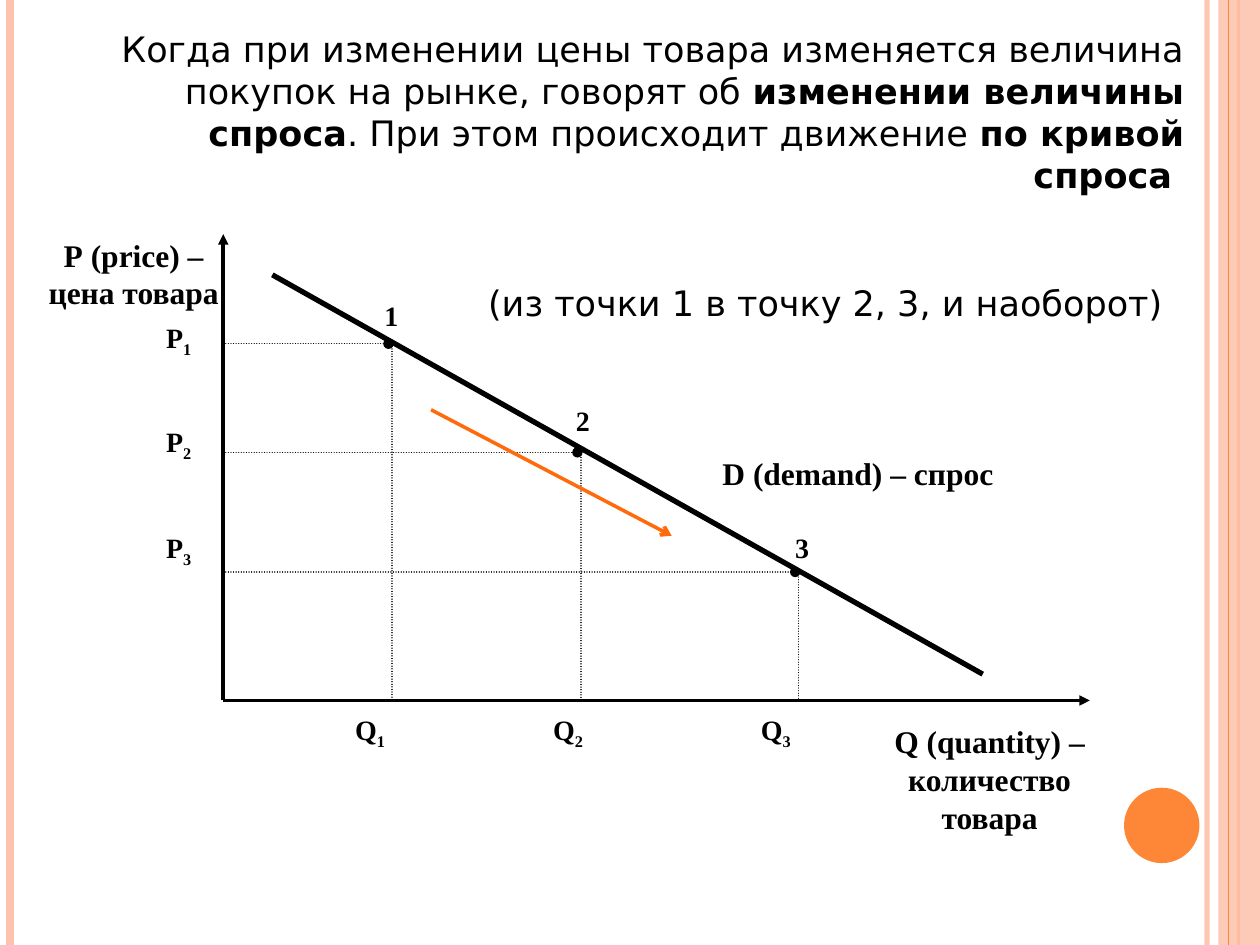
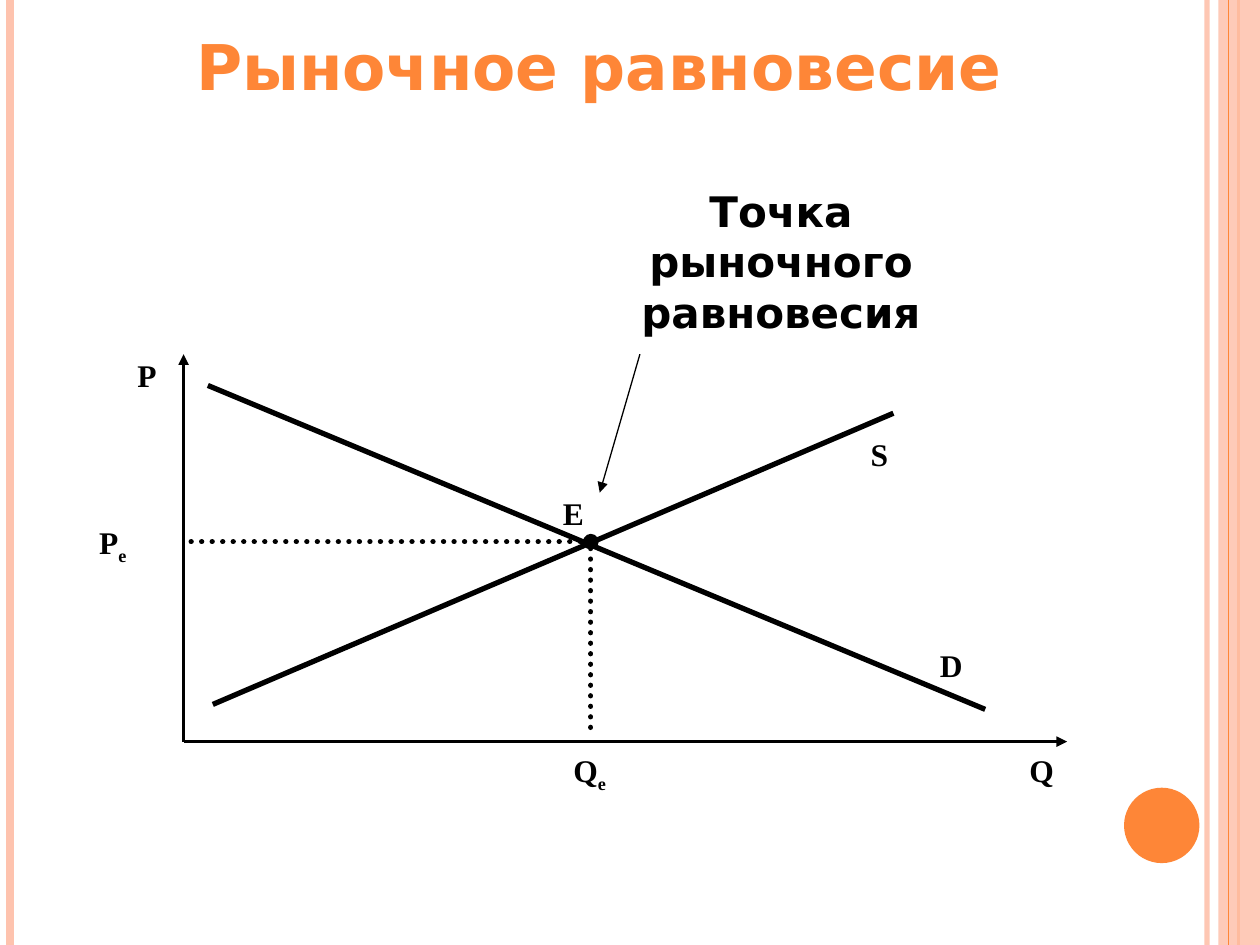
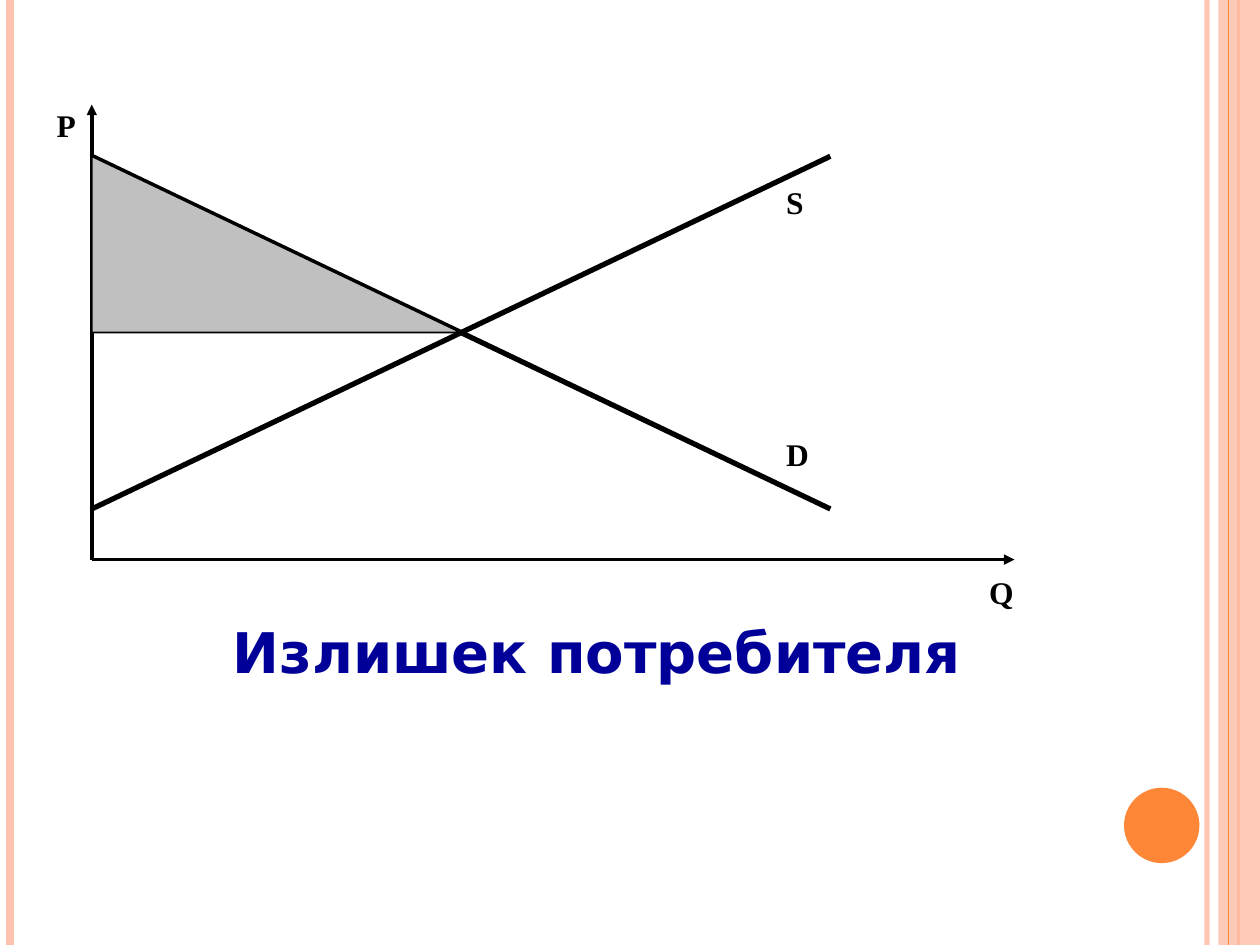
import pptx
import pptx.util
import pptx.dml.color
import pptx.enum.dml
import pptx.enum.shapes
import pptx.enum.text
import pptx.oxml.ns
from lxml import etree

Cm = pptx.util.Cm
Pt = pptx.util.Pt
Align = pptx.enum.text.PP_ALIGN
Shape = pptx.enum.shapes.MSO_SHAPE
qn = pptx.oxml.ns.qn

WIDTH, HEIGHT = 25.4, 19.05
COLORS = {
    "black": "000000",
    "orange": "FE8637",
    "peach": "FEC3AE",
    "arrow": "FF6B0A",
    "navy": "000099",
    "gray": "C0C0C0",
    "slate": "575F6D",
}
SANS, SERIF = "DejaVu Sans", "Times New Roman"


def color(name):
    return pptx.dml.color.RGBColor.from_string(COLORS[name])


def fade(node, percent):
    """Set the opacity of the first colour below a node."""
    tint = node.find(".//" + qn("a:srgbClr"))
    etree.SubElement(tint, qn("a:alpha"), val=str(percent * 1000))


class Deck:
    def __init__(self):
        self.prs = pptx.Presentation()
        self.prs.slide_width, self.prs.slide_height = Cm(WIDTH), Cm(HEIGHT)
        self.slide = None

    def start(self):
        """Open a new slide with its side bands and circle."""
        self.slide = self.prs.slides.add_slide(self.prs.slide_layouts[5])
        edge = self.band(24.33, "peach", 3)
        fade(edge.line._ln, 93)
        self.band(0.2, "peach", 4.5)
        self.band(24.97, "orange", 1.5)
        strip = self.shape(Shape.RECTANGLE, 24.56, 0, 0.84, HEIGHT, "peach")
        fade(strip._element.spPr, 87)
        self.band(24.77, "orange", 0.75)
        self.shape(Shape.OVAL, 22.66, 15.88, 1.52, 1.52, "orange")

    def band(self, x, tint, width):
        return self.line(x, 0, x, HEIGHT, width, tint)

    def line(self, x1, y1, x2, y2, width=3, tint="black",
             head=None, tail=None, dots=False):
        link = self.slide.shapes.add_connector(
            pptx.enum.shapes.MSO_CONNECTOR.STRAIGHT,
            Cm(x1), Cm(y1), Cm(x2), Cm(y2))
        link.line.width = Pt(width)
        link.line.color.rgb = color(tint)
        pen = link.line._ln
        if dots:
            link.line.dash_style = pptx.enum.dml.MSO_LINE.ROUND_DOT
            pen.set("cap", "rnd")
        for tag, kind in (("a:headEnd", head), ("a:tailEnd", tail)):
            if kind:
                etree.SubElement(pen, qn(tag), type=kind)
        etree.SubElement(link._element.spPr, qn("a:effectLst"))
        return link

    def axes(self, x, y, top, right):
        self.line(x, y, x, top, 2, tail="triangle")
        self.line(x, y, right, y, 2, tail="triangle")

    def shape(self, kind, x, y, w, h, fill, edge=None):
        form = self.slide.shapes.add_shape(kind, Cm(x), Cm(y), Cm(w), Cm(h))
        form.shadow.inherit = False
        form.fill.solid()
        form.fill.fore_color.rgb = color(fill)
        if edge:
            form.line.color.rgb = color(edge)
            form.line.width = Pt(1)
        else:
            form.line.fill.background()
        return form

    def run(self, para, text, size, font=SANS, tint="black", bold=True, sub=False):
        run = para.add_run()
        run.text = text
        run.font.size, run.font.name, run.font.bold = Pt(size), font, bold
        run.font.color.rgb = color(tint)
        if sub:
            run._r.get_or_add_rPr().set("baseline", "-25000")

    def box(self, x, y, w, h, align=Align.LEFT):
        """Add a wrapped text box and return its frame."""
        box = self.slide.shapes.add_textbox(Cm(x), Cm(y), Cm(w), Cm(h))
        box.text_frame.word_wrap = True
        box.text_frame.paragraphs[0].alignment = align
        return box.text_frame

    def label(self, x, y, text, sub="", w=1.65, h=1.0, size=18, align=Align.LEFT):
        frame = self.box(x, y, w, h, align)
        frame.margin_left = frame.margin_right = Cm(0.05)
        frame.margin_top = frame.margin_bottom = Cm(0.03)
        self.run(frame.paragraphs[0], text, size, SERIF)
        if sub:
            self.run(frame.paragraphs[0], sub, size, SERIF, sub=True)

    def title(self, x, y, w, h, align=Align.CENTER):
        """Move the title placeholder and return its frame."""
        title = self.slide.shapes.title
        title.left, title.top, title.width, title.height = Cm(x), Cm(y), Cm(w), Cm(h)
        frame = title.text_frame
        frame.word_wrap = True
        frame.auto_size = pptx.enum.text.MSO_AUTO_SIZE.NONE
        frame.vertical_anchor = pptx.enum.text.MSO_ANCHOR.TOP
        frame.paragraphs[0].alignment = align
        return frame


def demand(deck):
    """Movement along the demand curve."""
    deck.start()
    left, base = 4.5, 14.12
    deck.axes(left, base, 4.72, 21.97)
    deck.line(5.49, 5.54, 19.81, 13.59)

    # Points: x, y, top of P label, left of Q label, place of number
    points = [
        (7.9, 6.93, 6.43, 7.11, 7.7, 5.99),
        (11.71, 9.12, 8.53, 11.1, 11.56, 8.1),
        (16.1, 11.53, 10.67, 15.29, 15.98, 10.67),
    ]
    for num, (x, y, ptop, qleft, nx, ny) in enumerate(points, 1):
        deck.line(left, y, x - 0.07, y, 0.75, tail="oval", dots=True)
        deck.line(x, y, x, base, 0.75, dots=True)
        deck.label(3.3, ptop, "Р", str(num), size=16)
        deck.label(qleft, 14.33, "Q", str(num), size=16)
        deck.label(nx, ny, str(num), size=16)

    # Names of axes and curve
    for x, y, w, text in [
        (0.69, 4.72, 4.01, "Р (price) – цена товара"),
        (17.7, 14.53, 4.5, "Q (quantity) – количество товара"),
        (14.5, 9.12, 5.59, "D (demand) – спрос"),
    ]:
        deck.label(x, y, text, w=w, align=Align.CENTER)

    # Rule in words
    frame = deck.title(1.7, 0.43, 22.43, 6.76, Align.RIGHT)
    para = frame.paragraphs[0]
    for text, bold in [
        ("Когда при изменении цены товара изменяется величина покупок "
         "на рынке, говорят об ", False),
        ("изменении величины спроса", True),
        (". При этом происходит движение ", False),
        ("по кривой спроса ", True),
    ]:
        deck.run(para, text, 20, bold=bold)
    para = frame.add_paragraph()
    para.alignment = Align.RIGHT
    para.space_before = Pt(25)
    deck.run(para, "(из точки 1 в точку 2, 3, и наоборот)", 20, bold=False)
    deck.run(para, " ", 44, "Arial", "slate", False)
    deck.line(8.69, 8.26, 13.54, 10.8, 2, "arrow", tail="arrow")


def balance(deck):
    """Market equilibrium."""
    deck.start()
    left, base, x, y = 3.7, 14.95, 11.91, 10.92
    deck.line(x, y, left, y, dots=True)
    deck.line(x, y, x, 14.83, head="oval", dots=True)
    deck.axes(left, base, 7.14, 21.51)
    deck.line(4.29, 14.2, 18.01, 8.33)
    deck.line(4.19, 7.77, 19.86, 14.3)
    for lx, ly, text, sub in [
        (1.95, 10.52, "P", "e"), (2.72, 7.14, "P", ""),
        (11.51, 15.11, "Q", "e"), (20.7, 15.11, "Q", ""),
        (11.3, 9.93, "E", ""), (17.5, 8.74, "S", ""), (18.9, 13, "D", ""),
    ]:
        deck.label(lx, ly, text, sub)

    # Title and callout
    frame = deck.title(1.47, 0.43, 21.21, 1.8)
    deck.run(frame.paragraphs[0], "Рыночное равновесие", 36, tint="orange")
    deck.line(12.9, 7.14, 12.09, 9.93, 0.75, tail="triangle")
    frame = deck.box(11.63, 3.61, 8.23, 3.33, Align.CENTER)
    deck.run(frame.paragraphs[0], "Точка рыночного равновесия", 24)


def surplus(deck):
    """Consumer surplus."""
    deck.start()
    left, right, high, low = 1.85, 16.74, 3.15, 10.26
    deck.axes(left, 11.28, 2.11, 20.45)
    deck.line(left, high, right, low)
    deck.line(left, low, right, high)
    deck.shape(Shape.RIGHT_TRIANGLE, left, high, (right - left) / 2,
               (low - high) / 2, "gray", "black")
    for x, y, text in [(1.09, 2.11, "Р"), (19.89, 11.53, "Q"),
                       (15.8, 3.66, "S"), (15.8, 8.74, "D")]:
        deck.label(x, y, text)
    frame = deck.title(0, 12.32, 24.08, 1.63)
    deck.run(frame.paragraphs[0], "Излишек потребителя", 32, tint="navy")


def main():
    deck = Deck()
    for build in (demand, balance, surplus):
        build(deck)
    deck.prs.save("out.pptx")


if __name__ == "__main__":
    main()
